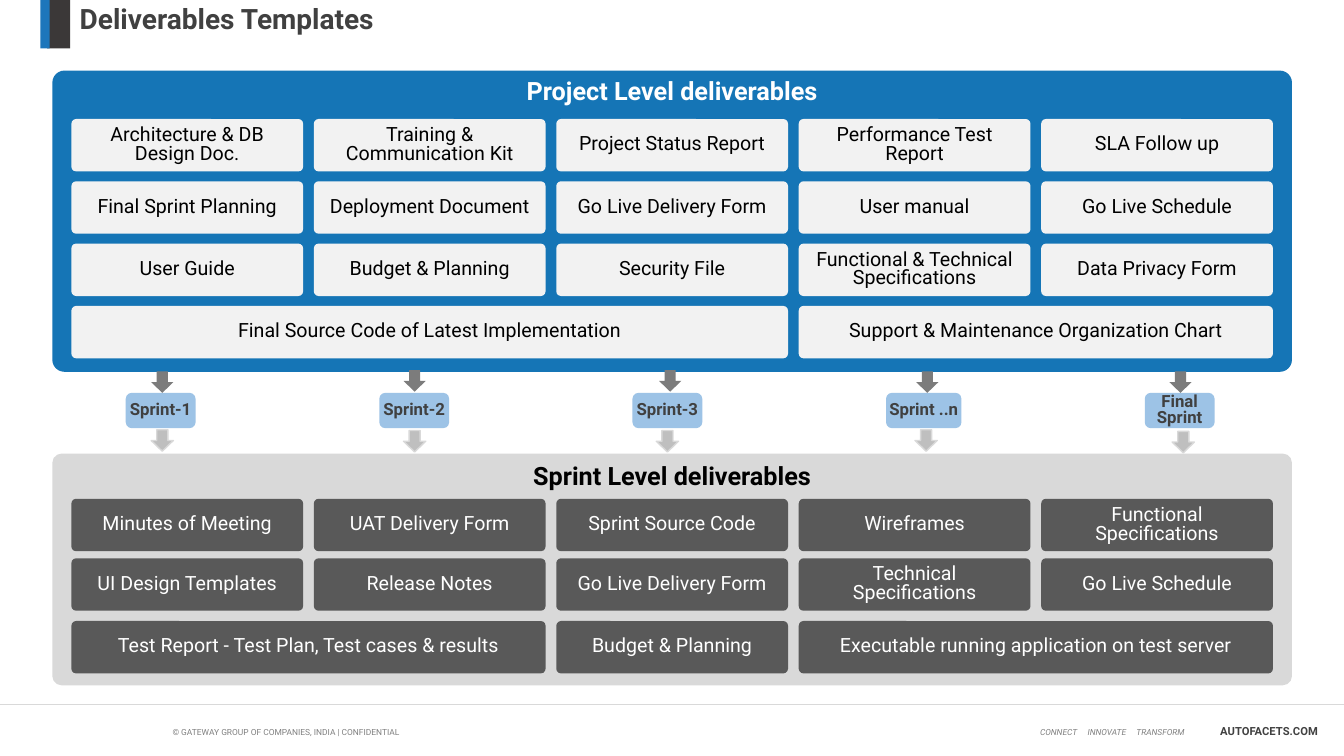
from pptx import Presentation
from pptx.dml.color import RGBColor
from pptx.enum.shapes import MSO_CONNECTOR, MSO_SHAPE
from pptx.enum.text import MSO_ANCHOR, PP_ALIGN
from pptx.oxml.ns import qn
from pptx.util import Cm, Pt
from lxml.etree import SubElement

WHITE = RGBColor(0xFF, 0xFF, 0xFF)
BLACK = RGBColor(0x00, 0x00, 0x00)
BLUE = RGBColor(0x15, 0x75, 0xB6)
ACCENT_BLUE = RGBColor(0x1D, 0x76, 0xBB)
SKY = RGBColor(0x9D, 0xC3, 0xE6)
CHARCOAL = RGBColor(0x3B, 0x38, 0x38)
TITLE_GREY = RGBColor(0x40, 0x40, 0x40)
SITE_GREY = RGBColor(0x41, 0x41, 0x41)
DARK = RGBColor(0x59, 0x59, 0x59)
ARROW_GREY = RGBColor(0x7C, 0x7C, 0x7C)
FOOTER_GREY = RGBColor(0x80, 0x80, 0x80)
SILVER = RGBColor(0xBF, 0xBF, 0xBF)
LIGHT = RGBColor(0xD9, 0xD9, 0xD9)
PALE = RGBColor(0xF2, 0xF2, 0xF2)

FONT = "Roboto"
GRID_LEFT, COL_PITCH, COL_GAP, TILE_H = 1.8, 6.11, 0.27, 1.32

# Each row is its top and its tiles; a tile is its text and the columns it spans.
PROJECT_ROWS = [
    (3.0, [("Architecture & DB Design Doc.", 1), ("Training & Communication Kit", 1),
           ("Project Status Report", 1), ("Performance Test Report", 1),
           ("SLA Follow up", 1)]),
    (4.57, [("Final Sprint Planning", 1), ("Deployment Document", 1),
            ("Go Live Delivery Form", 1), ("User manual", 1),
            ("Go Live Schedule", 1)]),
    (6.14, [("User Guide", 1), ("Budget & Planning", 1), ("Security File", 1),
            ("Functional & Technical Specifications", 1), ("Data Privacy Form", 1)]),
    (7.71, [("Final Source Code of Latest Implementation", 3),
            ("Support & Maintenance Organization Chart", 2)]),
]
SPRINT_ROWS = [
    (12.57, [("Minutes of Meeting", 1), ("UAT Delivery Form", 1),
             ("Sprint Source Code", 1), ("Wireframes", 1),
             ("Functional Specifications", 1)]),
    (14.07, [("UI Design Templates", 1), ("Release Notes", 1),
             ("Go Live Delivery Form", 1), ("Technical Specifications", 1),
             ("Go Live Schedule", 1)]),
    (15.65, [("Test Report - Test Plan, Test cases & results", 2),
             ("Budget & Planning", 1),
             ("Executable running application on test server", 2)]),
]
# Text, label left, label width, left and top of the arrow above, then below
SPRINTS = [
    ("Sprint-1", 3.17, 1.76, (3.81, 9.36), (3.81, 10.83)),
    ("Sprint-2", 9.56, 1.76, (10.17, 9.33), (10.17, 10.85)),
    ("Sprint-3", 15.94, 1.76, (16.61, 9.33), (16.54, 10.85)),
    ("Sprint ..n", 22.33, 1.9, (23.09, 9.36), (23.06, 10.83)),
    ("Final Sprint", 28.85, 1.76, (29.47, 9.36), (29.54, 10.87)),
]


def write(tf, text, size, color, bold=False, italic=False, align=PP_ALIGN.LEFT,
          spacing=None, tabs=()):
    p = tf.paragraphs[0]
    p.text = text
    p.alignment = align
    if spacing:
        p.line_spacing = spacing
    if tabs:
        tab_list = SubElement(p._p.get_or_add_pPr(), qn("a:tabLst"))
        for pos in tabs:
            SubElement(tab_list, qn("a:tab"), pos=str(Cm(pos)), algn="l")
    f = p.font
    f.name, f.size, f.bold, f.italic = FONT, Pt(size), bold, italic
    f.color.rgb = color


def add_text(s, box, text, size, color, wrap=True, **style):
    tf = s.shapes.add_textbox(*map(Cm, box)).text_frame
    tf.word_wrap = wrap
    write(tf, text, size, color, **style)


def add_block(s, kind, box, fill, corner=None, outline=None):
    sp = s.shapes.add_shape(kind, *map(Cm, box))
    sp.shadow.inherit = False
    sp.fill.solid()
    sp.fill.fore_color.rgb = fill
    if outline:
        sp.line.color.rgb = outline
        sp.line.width = Pt(1)
    else:
        sp.line.fill.background()
    if corner:
        sp.adjustments[0] = corner
    return sp


def add_label(s, box, text, fill, color, size, corner=None, bold=False, inset=None):
    """Rounded box with tightly spaced, centred text."""
    tf = add_block(s, MSO_SHAPE.ROUNDED_RECTANGLE, box, fill, corner).text_frame
    tf.word_wrap = True
    tf.vertical_anchor = MSO_ANCHOR.MIDDLE
    if inset is not None:
        tf.margin_left = tf.margin_right = tf.margin_top = tf.margin_bottom = Cm(inset)
    write(tf, text, size, color, bold=bold, align=PP_ALIGN.CENTER, spacing=0.8)


def add_panel(s, top, height, fill, heading, heading_top, heading_color,
              rows, tile_fill, tile_color):
    add_block(s, MSO_SHAPE.ROUNDED_RECTANGLE, (1.32, top, 31.24, height), fill, 0.04)
    add_text(s, (12.84, heading_top, 8.2, 1.02), heading, 18, heading_color,
             bold=True, align=PP_ALIGN.CENTER)
    for row_top, tiles in rows:
        col = 0
        for text, span in tiles:
            box = (GRID_LEFT + col * COL_PITCH, row_top,
                   span * COL_PITCH - COL_GAP, TILE_H)
            add_label(s, box, text, tile_fill, tile_color, 14, corner=0.09)
            col += span


def add_sprint(s, text, left, width, above, below):
    add_label(s, (left, 9.9, width, 0.89), text, SKY, TITLE_GREY, 12,
              bold=True, inset=0)
    add_block(s, MSO_SHAPE.DOWN_ARROW, (*above, 0.56, 0.54), ARROW_GREY)
    add_block(s, MSO_SHAPE.DOWN_ARROW, (*below, 0.56, 0.54), SILVER, outline=LIGHT)


def add_header(s):
    add_block(s, MSO_SHAPE.RECTANGLE, (1.19, 0, 0.58, 1.22), CHARCOAL)
    add_block(s, MSO_SHAPE.RECTANGLE, (1.02, 0, 0.23, 1.22), ACCENT_BLUE)
    add_text(s, (1.76, 0, 32.1, 1.22), "Deliverables Templates", 20, TITLE_GREY,
             bold=True, spacing=0.9)


def add_footer(s, width):
    rule = s.shapes.add_connector(MSO_CONNECTOR.STRAIGHT, 0, Cm(17.76), width, Cm(17.76))
    rule.line.color.rgb = LIGHT
    rule.line.width = Pt(0.5)
    SubElement(rule._element.spPr, qn("a:effectLst"))
    add_text(s, (4.1, 18.19, 9.37, 0.51),
             "© GATEWAY GROUP OF COMPANIES, INDIA | CONFIDENTIAL", 6, FOOTER_GREY)
    add_text(s, (25.96, 18.19, 4.93, 0.51), "CONNECT\tINNOVATE\tTRANSFORM", 6,
             FOOTER_GREY, italic=True, tabs=(1.2, 2.43))
    add_text(s, (30.5, 18.14, 3.1, 0.6), "AUTOFACETS.COM", 8, SITE_GREY,
             wrap=False, bold=True)


def main():
    prs = Presentation()
    prs.slide_width, prs.slide_height = Cm(33.87), Cm(19.05)
    s = prs.slides.add_slide(prs.slide_layouts[6])
    add_header(s)
    add_panel(s, 1.78, 7.59, BLUE, "Project Level deliverables", 1.78, WHITE,
              PROJECT_ROWS, PALE, BLACK)
    add_panel(s, 11.43, 5.84, LIGHT, "Sprint Level deliverables", 11.48, BLACK,
              SPRINT_ROWS, DARK, WHITE)
    for sprint in SPRINTS:
        add_sprint(s, *sprint)
    add_footer(s, prs.slide_width)
    prs.save("out.pptx")


if __name__ == "__main__":
    main()
